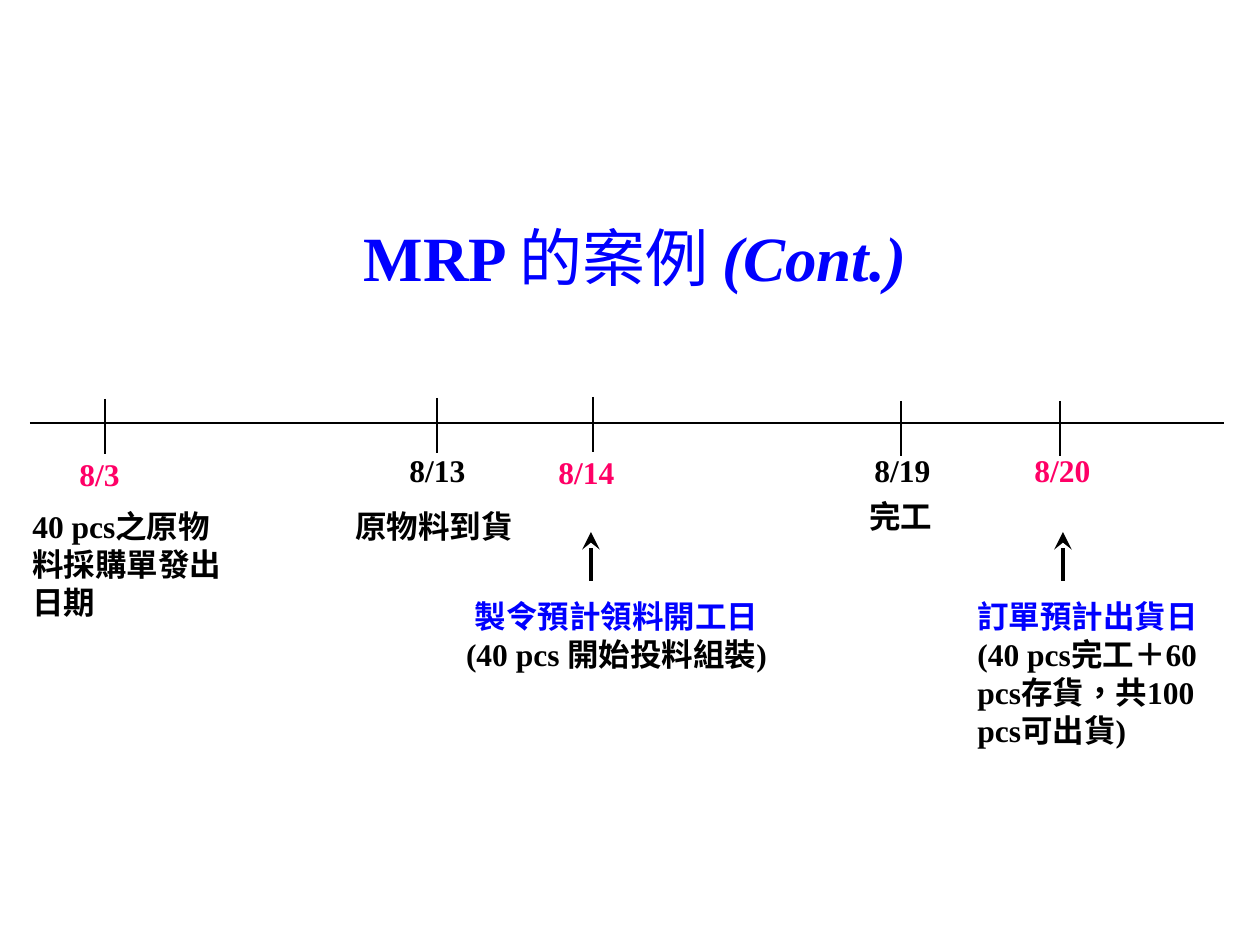
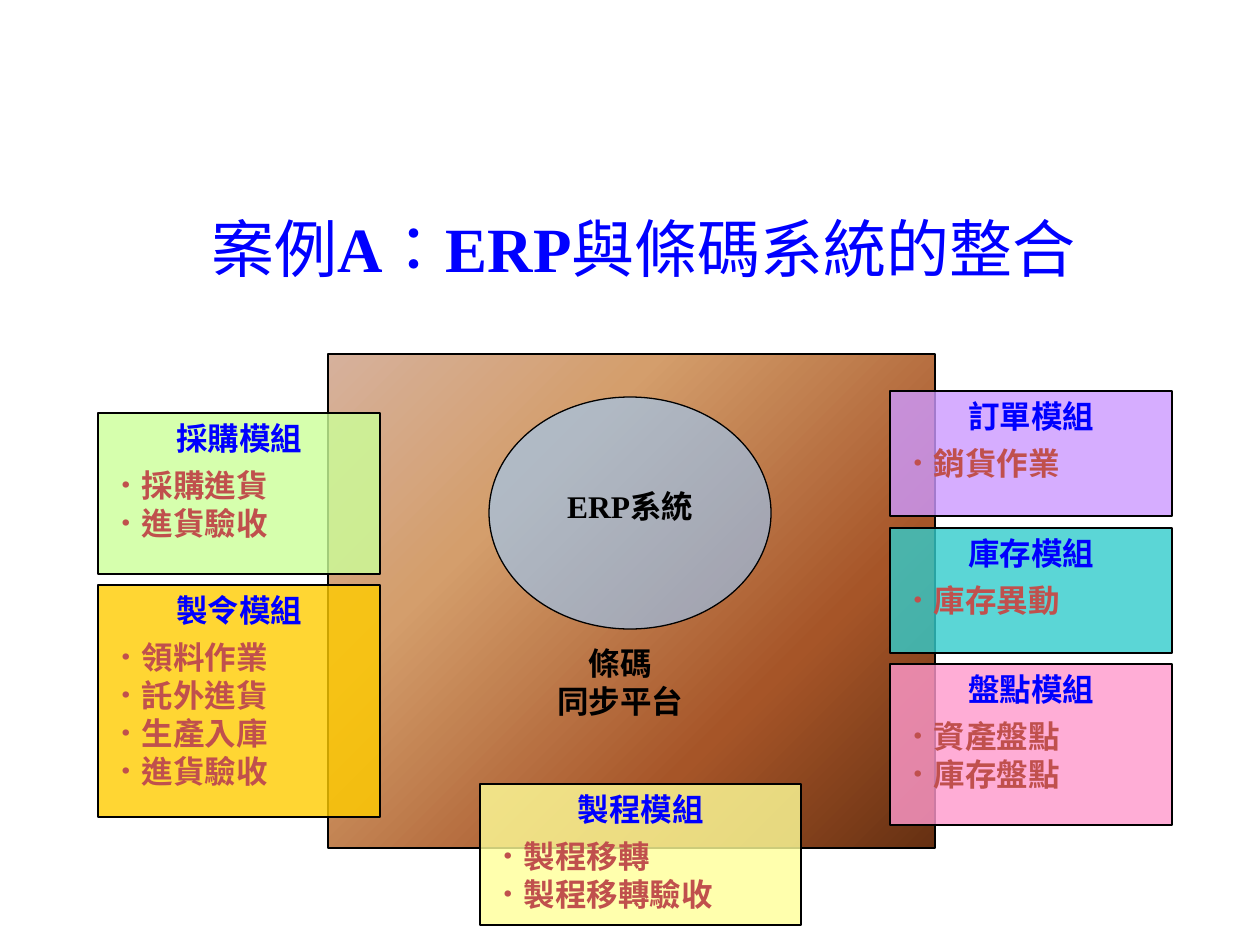
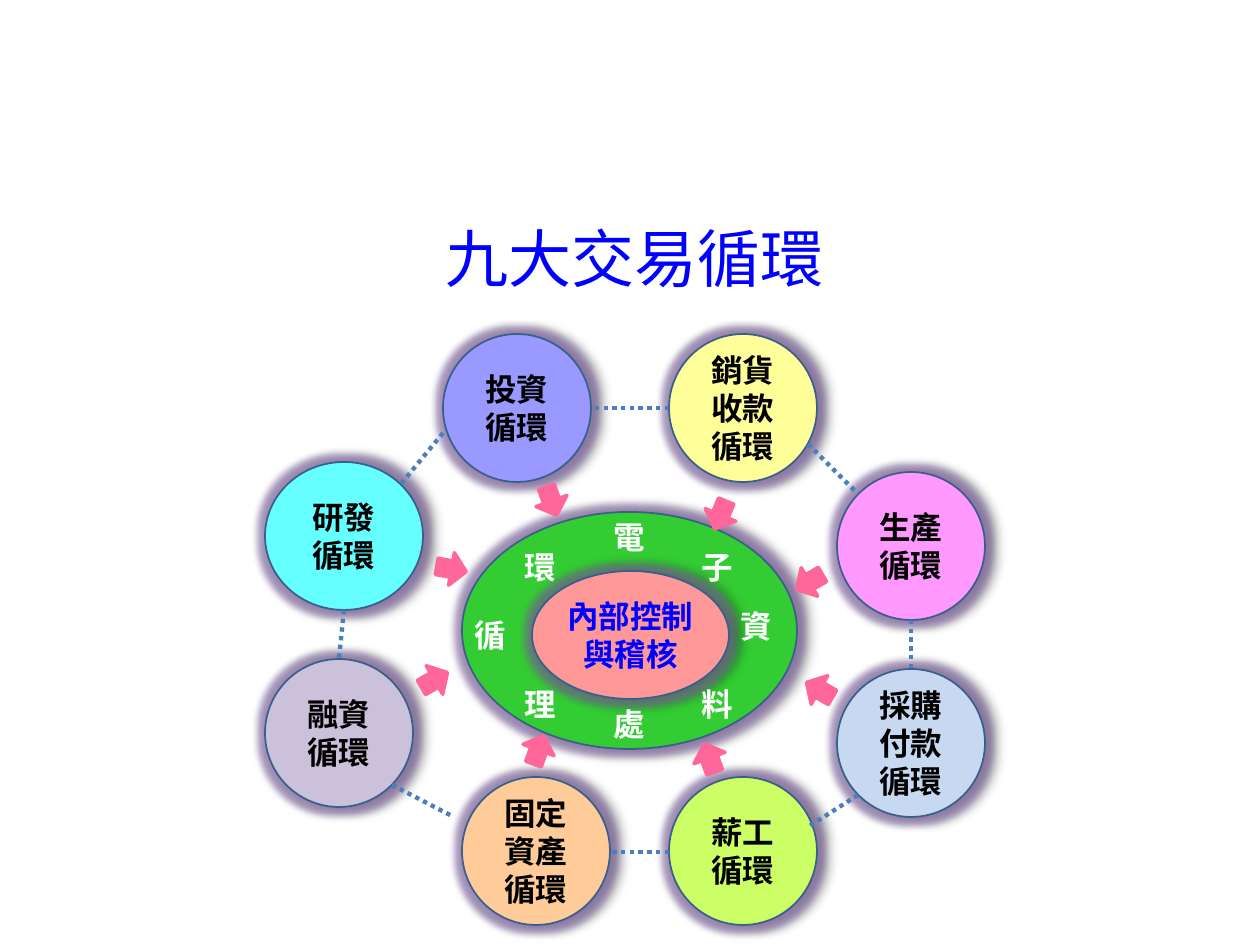
from typing import NamedTuple

from lxml import etree
from pptx import Presentation
from pptx.dml.color import RGBColor
from pptx.enum.dml import MSO_LINE
from pptx.enum.shapes import MSO_CONNECTOR, MSO_SHAPE
from pptx.enum.text import MSO_ANCHOR, PP_ALIGN
from pptx.oxml.ns import qn
from pptx.util import Emu, Pt

PX_PER_INCH = 126
RECT, OVAL, DOWN = MSO_SHAPE.RECTANGLE, MSO_SHAPE.OVAL, MSO_SHAPE.DOWN_ARROW
STRAIGHT, DOTTED = MSO_CONNECTOR.STRAIGHT, MSO_LINE.ROUND_DOT
LEFT, CENTER = PP_ALIGN.LEFT, PP_ALIGN.CENTER
TOP, MIDDLE = MSO_ANCHOR.TOP, MSO_ANCHOR.MIDDLE

SERIF, TITLE_CJK, BODY_CJK = "Times New Roman", "Noto Sans CJK JP", "Noto Sans CJK SC"
EAST_ASIAN = {SERIF: BODY_CJK, TITLE_CJK: TITLE_CJK, BODY_CJK: BODY_CJK}

BLACK = RGBColor(0x00, 0x00, 0x00)
WHITE = RGBColor(0xFF, 0xFF, 0xFF)
BLUE = RGBColor(0x00, 0x00, 0xFF)
HOT_PINK = RGBColor(0xFF, 0x00, 0x66)
ROSE = RGBColor(0xFF, 0x66, 0x99)
BRICK = RGBColor(0xC0, 0x50, 0x4D)
NAVY = RGBColor(0x3A, 0x5F, 0x8C)
LINK_BLUE = RGBColor(0x4B, 0x7E, 0xBC)
GLOW_PURPLE = RGBColor(0x80, 0x64, 0xA2)
LIME = RGBColor(0xCC, 0xFF, 0x99)
LILAC = RGBColor(0xCC, 0x99, 0xFF)
TEAL = RGBColor(0x33, 0xCC, 0xCC)
PINK = RGBColor(0xFF, 0x99, 0xCC)
GOLD = RGBColor(0xFF, 0xCC, 0x00)
CREAM = RGBColor(0xFF, 0xFF, 0x99)
SKY = RGBColor(0x99, 0xCC, 0xFF)
GREEN = RGBColor(0x33, 0xCC, 0x33)
SALMON = RGBColor(0xFF, 0x99, 0x99)
MAGENTA = RGBColor(0xFF, 0x99, 0xFF)
PALE_BLUE = RGBColor(0xC6, 0xD9, 0xF1)
YELLOW_GREEN = RGBColor(0xCC, 0xFF, 0x66)
PEACH = RGBColor(0xFF, 0xCC, 0x99)
MAUVE = RGBColor(0xCC, 0xC1, 0xDA)
CYAN = RGBColor(0x66, 0xFF, 0xFF)
PERIWINKLE = RGBColor(0x99, 0x99, 0xFF)
BRONZE_STOPS = [(0, RGBColor(0xD6, 0xB1, 0x9C)), (30, RGBColor(0xD4, 0x9E, 0x6C)),
                (70, RGBColor(0xA6, 0x55, 0x28)), (100, RGBColor(0x66, 0x30, 0x12))]

BODY = {"name": SERIF, "size": Pt(18), "bold": True}
RING_TEXT = {**BODY, "name": BODY_CJK}
TITLE_LATIN = {"name": SERIF, "size": Pt(36), "bold": True}
TITLE_HAN = {"name": TITLE_CJK, "size": Pt(36), "bold": False}


class Box(NamedTuple):
    x: int
    y: int
    w: int
    h: int

    def inner(self, x, y, w, h):
        return Box(self.x + x, self.y + y, w, h)

    def point(self, x, y):
        return self.x + x, self.y + y


def px(*lengths):
    return [Emu(round(length * 914400 / PX_PER_INCH)) for length in lengths]


def add_xml(parent, tag, **attributes):
    values = {key: str(value) for key, value in attributes.items()}
    return etree.SubElement(parent, qn(tag), values)


def add_color(parent, color, alpha=100):
    node = add_xml(parent, "a:srgbClr", val=color)
    if alpha < 100:
        add_xml(node, "a:alpha", val=alpha * 1000)


def write_span(para, text, color, style=BODY):
    span = para.add_run()
    span.text = text
    for name, value in style.items():
        setattr(span.font, name, value)
    span.font.color.rgb = color
    properties = span._r.get_or_add_rPr()
    properties.set("lang", "zh-TW")
    add_xml(properties, "a:ea", typeface=EAST_ASIAN[style["name"]])


def write_paras(shape, paras, anchor=TOP):
    """Fill a shape with (alignment, space before, spans) paragraphs."""
    frame = shape.text_frame
    frame.word_wrap, frame.vertical_anchor = True, anchor
    for number, (align, gap, spans) in enumerate(paras):
        para = frame.add_paragraph() if number else frame.paragraphs[0]
        para.alignment, para.space_before = align, Pt(gap)
        for span in spans:
            write_span(para, *span)


def add_text(page, box, *paras, anchor=TOP):
    label = page.shapes.add_textbox(*px(*box))
    write_paras(label, paras, anchor)


def add_title(page, box, *spans):
    colored = [(text, BLUE, style) for text, style in spans]
    add_text(page, box, (CENTER, 0, colored), anchor=MIDDLE)


def add_figure(page, preset, box, fill, line=BLACK, width=0.75, alpha=100):
    figure = page.shapes.add_shape(preset, *px(*box))
    figure.shadow.inherit = False
    figure.line.color.rgb, figure.line.width = line, Pt(width)
    figure.fill.solid()
    figure.fill.fore_color.rgb = fill
    if alpha < 100:
        color = figure._element.spPr.find(qn("a:solidFill"))[0]
        add_xml(color, "a:alpha", val=alpha * 1000)
    return figure


def add_line(page, start, end, color=BLACK, width=1.5, dash=None, arrow=False):
    line = page.shapes.add_connector(STRAIGHT, *px(*start, *end))
    line.line.color.rgb, line.line.width = color, Pt(width)
    if dash:
        line.line.dash_style = dash
    if arrow:
        add_xml(line.line._get_or_add_ln(), "a:tailEnd", type="stealth",
                w="lg", len="lg")
    add_xml(line._element.spPr, "a:effectLst")


def set_diagonal_gradient(figure, stops):
    properties = figure._element.spPr
    gradient = etree.Element(qn("a:gradFill"), rotWithShape="1")
    stop_list = add_xml(gradient, "a:gsLst")
    for position, color in stops:
        add_color(add_xml(stop_list, "a:gs", pos=position * 1000), color)
    add_xml(gradient, "a:lin", ang=45 * 60000, scaled=0)
    properties.replace(properties.find(qn("a:solidFill")), gradient)


def add_glowing_oval(page, box, fill):
    oval = add_figure(page, OVAL, box, fill, NAVY, 1)
    effects = oval._element.spPr.find(qn("a:effectLst"))
    add_color(add_xml(effects, "a:glow", rad=Pt(8)), GLOW_PURPLE, 60)
    shadow = add_xml(effects, "a:outerShdw", blurRad=Pt(4), dist=Pt(3), dir=0,
                     rotWithShape=0)
    add_color(shadow, BLACK, 40)
    return oval


def draw_timeline(page, box):
    add_line(page, box.point(10, 26), box.point(1204, 26))
    milestones = [
        ("8/3", HOT_PINK, 85, 2, 29, 52), ("8/13", BLACK, 417, 1, 367, 48),
        ("8/14", HOT_PINK, 573, 0, 516, 50), ("8/19", BLACK, 881, 4, 832, 48),
        ("8/20", HOT_PINK, 1040, 4, 992, 48),
    ]
    for date, color, tick_x, tick_y, left, top in milestones:
        add_line(page, box.point(tick_x, tick_y), box.point(tick_x, tick_y + 55))
        add_text(page, box.inner(left, top, 101, 74), (CENTER, 0, [(date, color)]))
    for arrow_x in (571, 1043):
        add_line(page, box.point(arrow_x, 184), box.point(arrow_x, 135),
                 width=2, arrow=True)
    notes = [
        ((0, 104, 217, 137), [(LEFT, 0, [("40 pcs之原物料採購單發出日期", BLACK)])]),
        ((305, 104, 218, 74), [(CENTER, 0, [("原物料到貨", BLACK)])]),
        ((780, 94, 202, 74), [(CENTER, 0, [("完工", BLACK)])]),
        ((432, 194, 329, 129), [(CENTER, 0, [("製令預計領料開工日 ", BLUE),
                                            ("(40 pcs 開始投料組裝)", BLACK)])]),
        ((945, 194, 246, 186), [
            (LEFT, 0, [("訂單預計出貨日", BLUE)]),
            (LEFT, 0, [("(40 pcs完工＋60 pcs存貨，共100 pcs可出貨)", BLACK)])]),
    ]
    for area, paras in notes:
        add_text(page, box.inner(*area), *paras)


def add_module(page, box, fill, name, tasks):
    module = add_figure(page, RECT, box, fill, alpha=80)
    paras = [(CENTER, 0, [(name, BLUE)])]
    for number, task in enumerate(tasks):
        paras.append((LEFT, 0 if number else 5.4, [("．" + task, BRICK)]))
    write_paras(module, paras)


def draw_platform(page, box):
    platform = add_figure(page, RECT, box.inner(230, 0, 607, 494), WHITE)
    set_diagonal_gradient(platform, BRONZE_STOPS)
    modules = [
        ((0, 59, 282, 161), LIME, "採購模組", ["採購進貨", "進貨驗收"]),
        ((792, 37, 282, 125), LILAC, "訂單模組", ["銷貨作業"]),
        ((792, 174, 282, 125), TEAL, "庫存模組", ["庫存異動"]),
        ((792, 310, 282, 161), PINK, "盤點模組", ["資產盤點", "庫存盤點"]),
        ((0, 231, 282, 232), GOLD, "製令模組",
         ["領料作業", "託外進貨", "生產入庫", "進貨驗收"]),
        ((382, 430, 321, 141), CREAM, "製程模組", ["製程移轉", "製程移轉驗收"]),
    ]
    for area, *details in modules:
        add_module(page, box.inner(*area), *details)
    add_figure(page, OVAL, box.inner(391, 43, 282, 232), SKY, alpha=60)
    add_text(page, box.inner(391, 127, 282, 89), (CENTER, 0, [("ERP系統", BLACK)]))
    add_text(page, box.inner(381, 284, 282, 142), (CENTER, 0, [("條碼", BLACK)]),
             (CENTER, 0, [("同步平台", BLACK)]))


def draw_control_core(page, box):
    core = add_glowing_oval(page, box, SALMON)
    write_paras(core, [(CENTER, 0, [("內部控制", BLUE)])], MIDDLE)
    core.text_frame.margin_left, core.text_frame.margin_right = px(5, 5)
    para = core.text_frame.paragraphs[0]
    para.add_line_break()
    write_span(para, "與稽核", BLUE)


def draw_ring_letters(page, ring):
    spots = [(139, 0), (227, 30), (266, 89), (227, 167),
             (139, 187), (50, 167), (0, 98), (50, 30)]
    for letter, spot in zip("電子資料處理循環", spots):
        add_text(page, ring.inner(*spot, 69, 50),
                 (LEFT, 0, [(letter, WHITE, RING_TEXT)]))


def draw_cycles(page, box):
    ring = box.inner(197, 178, 335, 237)
    add_glowing_oval(page, ring, GREEN)
    cycles = [
        ("銷貨收款", CREAM, 404, 0, 148), ("生產", MAGENTA, 572, 138, 148),
        ("採購付款", PALE_BLUE, 572, 335, 148), ("薪工", YELLOW_GREEN, 404, 443, 148),
        ("固定資產", PEACH, 197, 443, 148), ("融資", MAUVE, 0, 325, 148),
        ("研發", CYAN, 0, 128, 158), ("投資", PERIWINKLE, 178, 0, 148),
    ]
    for name, fill, left, top, width in cycles:
        oval = add_glowing_oval(page, box.inner(left, top, width, 148), fill)
        write_paras(oval, [(CENTER, 0, [(name + "循環", BLACK)])], MIDDLE)
    draw_control_core(page, box.inner(267, 237, 197, 128))
    links = [
        ((543, 110), (593, 160)), ((646, 286), (646, 335)),
        ((593, 461), (543, 493)), ((79, 276), (74, 325)),
        ((178, 99), (136, 150)), ((404, 74), (326, 74)),
        ((404, 518), (345, 518)), ((127, 451), (187, 482)),
    ]
    for start, end in links:
        add_line(page, box.point(*start), box.point(*end), LINK_BLUE, 2.5, DOTTED)
    inward_arrows = [
        (439, 166, 22.4), (528, 233, 60), (538, 341, 120), (428, 409, 160),
        (257, 401, 200), (153, 331, 240), (170, 220, 280), (270, 152, 340),
    ]
    for left, top, angle in inward_arrows:
        arrow = add_figure(page, DOWN, box.inner(left, top, 33, 30), ROSE, ROSE, 2)
        arrow.rotation = angle
    draw_ring_letters(page, ring)


def main():
    deck = Presentation()
    deck.slide_width, deck.slide_height = px(1260, 945)
    contents = [
        (Box(59, 188, 1152, 137), draw_timeline, Box(20, 397, 1204, 380),
         [("MRP ", TITLE_LATIN), ("的案例 ", TITLE_HAN),
          ("(Cont.)", {**TITLE_LATIN, "italic": True})]),
        (Box(108, 197, 1071, 100), draw_platform, Box(98, 354, 1074, 572),
         [("案例", TITLE_HAN), ("A", TITLE_LATIN), ("：", TITLE_HAN),
          ("ERP", TITLE_LATIN), ("與條碼系統的整合", TITLE_HAN)]),
        (Box(39, 178, 1191, 158), draw_cycles, Box(265, 334, 720, 592),
         [("九大交易循環", TITLE_HAN)]),
    ]
    for title_box, draw_body, body_box, title in contents:
        page = deck.slides.add_slide(deck.slide_layouts[6])
        add_title(page, title_box, *title)
        draw_body(page, body_box)
    deck.save("out.pptx")


if __name__ == "__main__":
    main()
